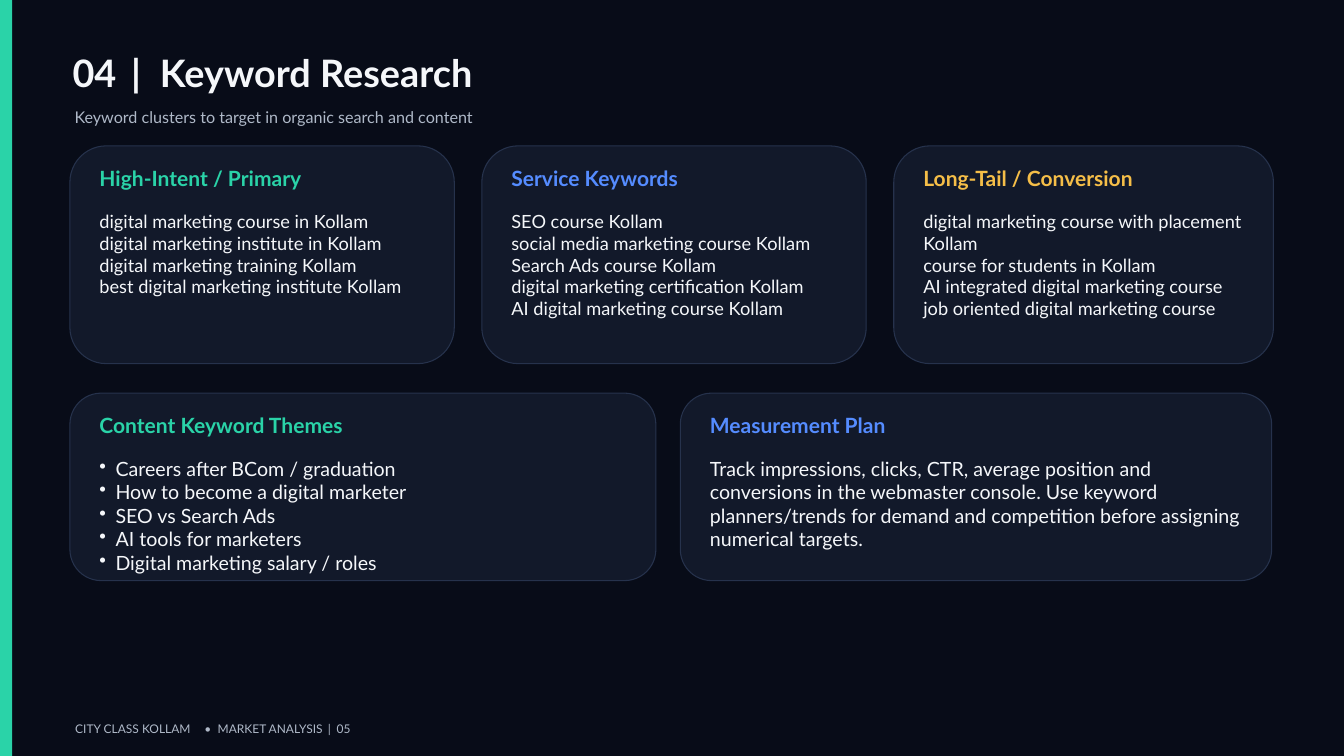
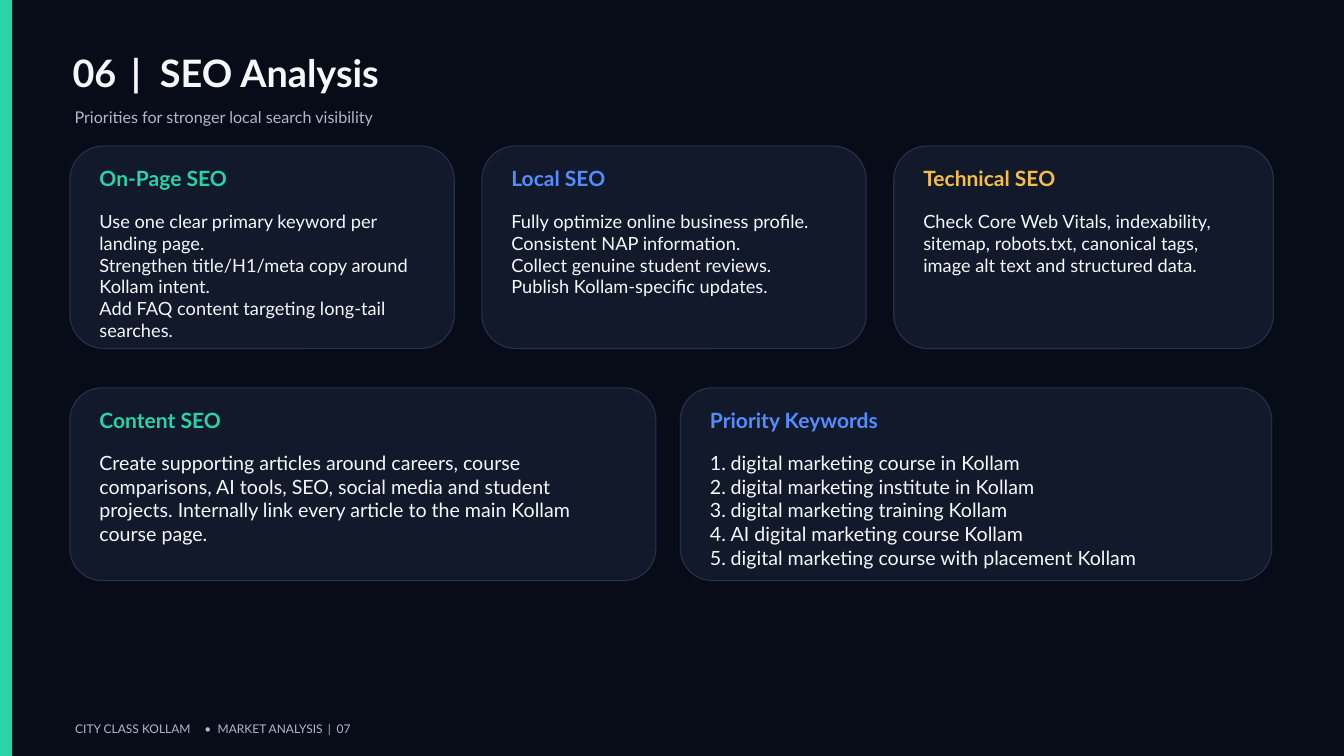
from dataclasses import dataclass

from lxml.etree import SubElement
from pptx import Presentation
from pptx.dml.color import RGBColor
from pptx.enum.shapes import MSO_SHAPE as Shape
from pptx.oxml.ns import qn
from pptx.util import Inches, Length, Pt

WIDTH, HEIGHT = Inches(20), Inches(11.25)
FONT = "Lato"
NIGHT, PANEL, EDGE = "080C18", "12192A", "26324C"
WHITE, GREY = "F5F7FA", "AFB9C8"
GREEN, BLUE, AMBER = "2AD3A8", "558CFF", "F5BE48"
ACCENTS = (GREEN, BLUE, AMBER)

# Shares of the slide, in percent of its width (across) or height (down)
CARD_LEFT, CARD_PAD = 5.2, 2.2
HEADING_DROP, HEADING_HEIGHT = 2.6, 3.8
UPPER_TOP, LOWER_BOTTOM = 19.3, 76.8


@dataclass(frozen=True)
class Style:
    size: float
    leading: float
    color: str = WHITE
    bold: bool = False
    tabs: tuple[float, ...] = ()  # inches from the left edge of the box


TITLE = Style(40.5, 48.6, bold=True, tabs=(0.87, 1.3))
SUBTITLE = Style(17.3, 20.7, GREY)
FOOTER = Style(12.8, 15.3, GREY, tabs=(1.92, 2.12, 3.76, 3.89))


@dataclass(frozen=True)
class Card:
    heading: str
    lines: tuple[str, ...]
    marker: str = ""  # "bullet", "number" or nothing


@dataclass(frozen=True)
class Row:
    widths: tuple[float, ...]
    gap: float
    body_drop: float
    style: Style


UPPER = Row((28.6, 28.6, 28.25), 2.05, 8.5, Style(19.5, 23.4))
LOWER = Row((43.6, 44), 1.82, 8.4, Style(21, 25.2))


@dataclass(frozen=True)
class Topic:
    number: str
    title: str
    subtitle: str
    page_number: str
    upper_height: float
    lower_top: float
    upper: tuple[Card, ...]
    lower: tuple[Card, ...]


TOPICS = (
    Topic(
        "04", "Keyword Research",
        "Keyword clusters to target in organic search and content",
        "05", 28.8, 52,
        (
            Card("High-Intent / Primary", (
                "digital marketing course in Kollam",
                "digital marketing institute in Kollam",
                "digital marketing training Kollam",
                "best digital marketing institute Kollam")),
            Card("Service Keywords", (
                "SEO course Kollam",
                "social media marketing course Kollam",
                "Search Ads course Kollam",
                "digital marketing certification Kollam",
                "AI digital marketing course Kollam")),
            Card("Long-Tail / Conversion", (
                "digital marketing course with placement Kollam",
                "course for students in Kollam",
                "AI integrated digital marketing course",
                "job oriented digital marketing course")),
        ),
        (
            Card("Content Keyword Themes", (
                "Careers after BCom / graduation",
                "How to become a digital marketer",
                "SEO vs Search Ads",
                "AI tools for marketers",
                "Digital marketing salary / roles"), "bullet"),
            Card("Measurement Plan", (
                "Track impressions, clicks, CTR, average position and "
                "conversions in the webmaster console. Use keyword "
                "planners/trends for demand and competition before assigning "
                "numerical targets.",)),
        ),
    ),
    Topic(
        "06", "SEO Analysis",
        "Priorities for stronger local search visibility",
        "07", 26.8, 51.3,
        (
            Card("On-Page SEO", (
                "Use one clear primary keyword per landing page.",
                "Strengthen title/H1/meta copy around Kollam intent.",
                "Add FAQ content targeting long-tail searches.")),
            Card("Local SEO", (
                "Fully optimize online business profile.",
                "Consistent NAP information.",
                "Collect genuine student reviews.",
                "Publish Kollam-specific updates.")),
            Card("Technical SEO", (
                "Check Core Web Vitals, indexability, sitemap, robots.txt, "
                "canonical tags, image alt text and structured data.",)),
        ),
        (
            Card("Content SEO", (
                "Create supporting articles around careers, course "
                "comparisons, AI tools, SEO, social media and student "
                "projects. Internally link every article to the main Kollam "
                "course page.",)),
            Card("Priority Keywords", (
                "digital marketing course in Kollam",
                "digital marketing institute in Kollam",
                "digital marketing training Kollam",
                "AI digital marketing course Kollam",
                "digital marketing course with placement Kollam"), "number"),
        ),
    ),
)


def across(percent: float) -> Length:
    return Length(round(WIDTH * percent / 100))


def down(percent: float) -> Length:
    return Length(round(HEIGHT * percent / 100))


def rgb(color: str) -> RGBColor:
    return RGBColor.from_string(color)


def add_marker(properties, marker: str) -> None:
    """Give a paragraph a hanging bullet or number."""
    hang = Inches(0.24 if marker == "bullet" else 0.31)
    properties.set("marL", str(hang))
    properties.set("indent", str(-hang))
    if marker == "bullet":
        SubElement(properties, qn("a:buChar"), char="•")
    else:
        SubElement(properties, qn("a:buAutoNum"), type="arabicPeriod")


def add_text(page, left: float, top: float, width: float, height: float,
             lines: tuple[str, ...], style: Style, marker: str = "") -> None:
    box = page.shapes.add_textbox(across(left), down(top), across(width), down(height))
    frame = box.text_frame
    frame.word_wrap = True
    frame.margin_left = frame.margin_right = frame.margin_top = frame.margin_bottom = 0
    frame.text = "\n".join(lines)
    for para in frame.paragraphs:
        para.line_spacing = Pt(style.leading)
        properties = para._p.get_or_add_pPr()
        if marker:
            add_marker(properties, marker)
        if style.tabs:
            stops = SubElement(properties, qn("a:tabLst"))
            for stop in style.tabs:
                SubElement(stops, qn("a:tab"), pos=str(Inches(stop)), algn="l")
        font = para.font
        font.name, font.size, font.bold = FONT, Pt(style.size), style.bold
        font.color.rgb = rgb(style.color)


def add_panel(page, kind: Shape, left: float, top: float, width: float, height: float,
              fill: str, edge: str = "") -> None:
    panel = page.shapes.add_shape(kind, across(left), down(top), across(width), down(height))
    panel.shadow.inherit = False
    panel.fill.solid()
    panel.fill.fore_color.rgb = rgb(fill)
    if edge:
        panel.line.color.rgb = rgb(edge)
        panel.line.width = Pt(1.13)
    else:
        panel.line.fill.background()


def add_row(page, row: Row, cards: tuple[Card, ...], top: float, height: float) -> None:
    left = CARD_LEFT
    for card, width, accent in zip(cards, row.widths, ACCENTS):
        add_panel(page, Shape.ROUNDED_RECTANGLE, left, top, width, height, PANEL, EDGE)
        text_left, text_width = left + CARD_PAD, width - 2 * CARD_PAD
        add_text(page, text_left, top + HEADING_DROP, text_width, HEADING_HEIGHT,
                 (card.heading,), Style(22.5, 27, accent, bold=True))
        add_text(page, text_left, top + row.body_drop, text_width,
                 height - row.body_drop - 2, card.lines, row.style, card.marker)
        left += width + row.gap


def add_topic(deck, topic: Topic) -> None:
    page = deck.slides.add_slide(deck.slide_layouts[6])
    page.background.fill.solid()
    page.background.fill.fore_color.rgb = rgb(NIGHT)
    add_panel(page, Shape.RECTANGLE, 0, 0, 0.9, 100, GREEN)
    add_text(page, 5.4, 6.6, 88.3, 6.4, (f"{topic.number}\t|\t{topic.title}",), TITLE)
    add_text(page, 5.55, 14.2, 86.8, 4.4, (topic.subtitle,), SUBTITLE)
    add_row(page, UPPER, topic.upper, UPPER_TOP, topic.upper_height)
    add_row(page, LOWER, topic.lower, topic.lower_top, LOWER_BOTTOM - topic.lower_top)
    add_text(page, 5.6, 95.4, 88.3, 1.9,
             (f"CITY CLASS KOLLAM\t•\tMARKET ANALYSIS\t|\t{topic.page_number}",), FOOTER)


def main() -> None:
    deck = Presentation()
    deck.slide_width, deck.slide_height = WIDTH, HEIGHT
    for topic in TOPICS:
        add_topic(deck, topic)
    deck.save("out.pptx")


if __name__ == "__main__":
    main()
